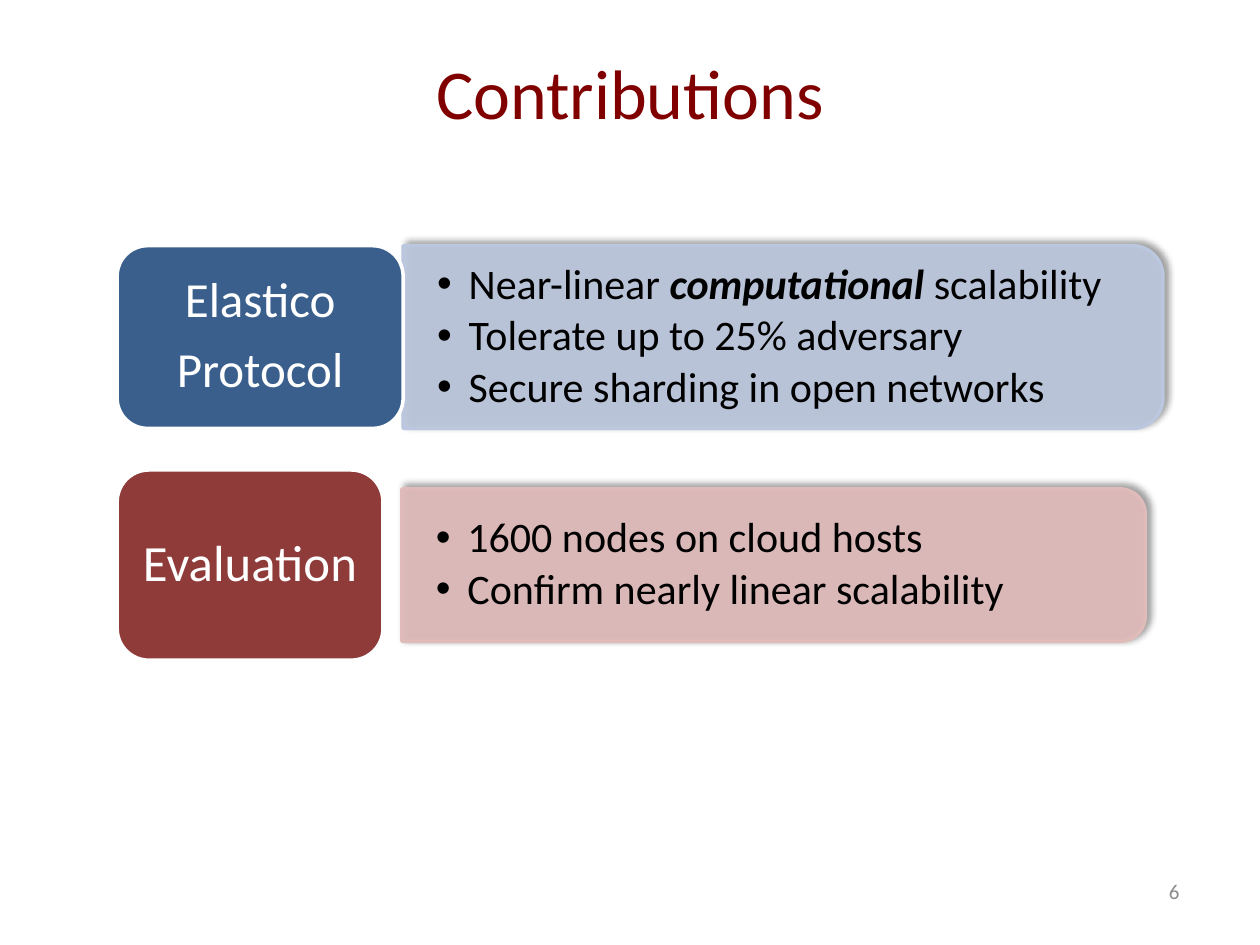
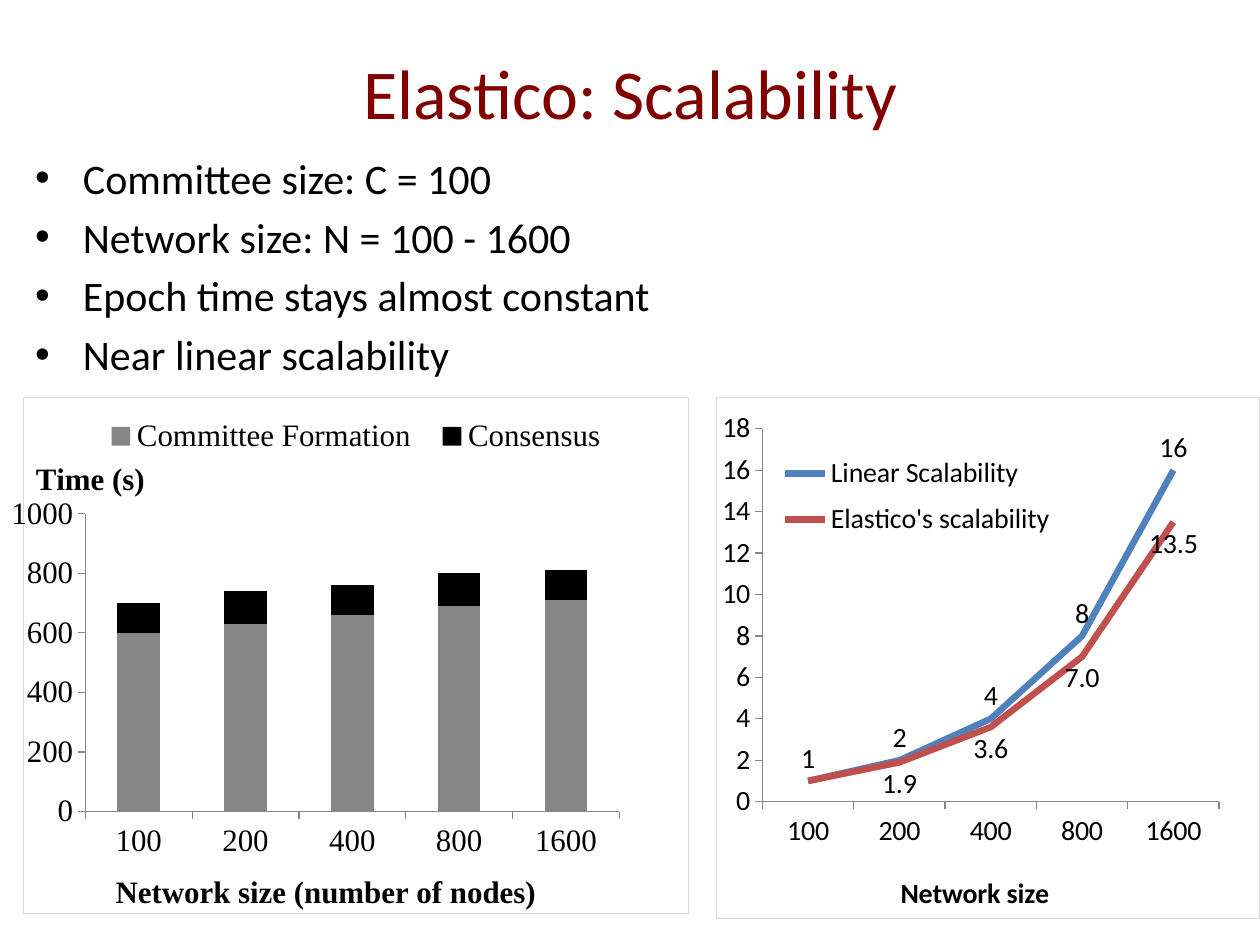
from lxml import etree
from pptx import Presentation
from pptx.chart.data import CategoryChartData
from pptx.dml.color import RGBColor
from pptx.enum import chart as ch, shapes, text
from pptx.oxml import parse_xml
from pptx.oxml.ns import qn, nsdecls
from pptx.util import Inches, Pt

WHITE = RGBColor(0xFF, 0xFF, 0xFF)
BLACK = RGBColor(0, 0, 0)
MAROON = RGBColor(0x80, 0, 0)
NAVY = RGBColor(0x3A, 0x5F, 0x8C)
SKY = RGBColor(0xBB, 0xC7, 0xDE)
BRICK = RGBColor(0x8E, 0x3B, 0x39)
ROSE = RGBColor(0xDF, 0xBB, 0xBA)
GREY = RGBColor(0x86, 0x86, 0x86)
PALE = RGBColor(0x8C, 0x8C, 0x8C)
BLUE = RGBColor(0x4F, 0x81, 0xBD)
RED = RGBColor(0xC0, 0x50, 0x4D)
SANS = "Calibri"
SERIF = "Times New Roman"
SIZES = ["100", "200", "400", "800", "1600"]


def style(part, size, color, name=SANS, bold=None):
    font = part.font
    font.size, font.name, font.bold = Pt(size), name, bold
    font.color.rgb = color


def write(frame, lines, size, color, align=None, inset=(0.1, 0.05),
          mid=True, wrap=True):
    frame.text = "\n".join(lines)
    frame.word_wrap = wrap
    frame.margin_left = frame.margin_right = Inches(inset[0])
    frame.margin_top = frame.margin_bottom = Inches(inset[1])
    anchor = text.MSO_ANCHOR
    frame.vertical_anchor = anchor.MIDDLE if mid else anchor.TOP
    for para in frame.paragraphs:
        para.alignment = align
        for run in para.runs:
            style(run, size, color)
    return frame


def label(slide, box, lines, *args, **opts):
    shape = slide.shapes.add_textbox(*map(Inches, box))
    return write(shape.text_frame, lines, *args, **opts)


def bullet(frame, indent):
    for para in frame.paragraphs:
        props = para._p.get_or_add_pPr()
        props.set("marL", str(Inches(indent)))
        props.set("indent", str(-Inches(indent)))
        etree.SubElement(props, qn("a:buFont")).set("typeface", "Arial")
        etree.SubElement(props, qn("a:buChar")).set("char", "•")


def space(frame, after):
    for para in frame.paragraphs:
        para.line_spacing = 0.9
        para.space_after = Pt(after)


def title(slide, words):
    label(slide, (0, 0.3, 10, 0.86), [words], 40, MAROON,
          text.PP_ALIGN.CENTER)


def number(slide, value):
    label(slide, (7.13, 6.87, 2.33, 0.4), [value], 12, PALE,
          text.PP_ALIGN.RIGHT)


def panel(slide, box, lines, color):
    left, top, wide, high = box
    shift = (wide - high) / 2
    shape = slide.shapes.add_shape(
        shapes.MSO_SHAPE.ROUND_2_SAME_RECTANGLE, Inches(left + shift),
        Inches(top - shift), Inches(high), Inches(wide))
    shape.rotation = 90
    shape.fill.solid()
    shape.fill.fore_color.rgb = shape.line.color.rgb = color
    shape.line.width = Pt(2)
    props = shape._element.spPr
    tint = props.find(qn("a:solidFill"))[0]
    etree.SubElement(tint, qn("a:alpha")).set("val", "90000")
    props.append(parse_xml(
        f'<a:effectLst {nsdecls("a")}><a:outerShdw blurRad="{Pt(4)}" '
        f'dist="{Pt(3)}" dir="18900000" rotWithShape="0">'
        '<a:srgbClr val="000000"><a:alpha val="40000"/></a:srgbClr>'
        '</a:outerShdw></a:effectLst>'))
    frame = label(slide, (left, top + 0.07, wide - 0.07, high - 0.14),
                  lines, 24, BLACK, inset=(0.27, 0.14))
    space(frame, 3.6)
    bullet(frame, 0.25)
    return frame


def tag(slide, box, lines, size, color):
    shape = slide.shapes.add_shape(
        shapes.MSO_SHAPE.ROUNDED_RECTANGLE, *map(Inches, box))
    shape.shadow.inherit = False
    shape.fill.solid()
    shape.fill.fore_color.rgb = color
    shape.line.color.rgb = WHITE
    shape.line.width = Pt(2)
    frame = write(shape.text_frame, lines, size, WHITE,
                  text.PP_ALIGN.CENTER, wrap=False)
    space(frame, size * 0.35)


def place(node, index, x, y, wide=None, high=None, inner=False):
    for old in node.findall(qn("c:layout")):
        node.remove(old)
    layout = etree.Element(qn("c:layout"))
    manual = etree.SubElement(layout, qn("c:manualLayout"))
    parts = [("layoutTarget", "inner")] if inner else []
    parts += [("xMode", "edge"), ("yMode", "edge"), ("x", x), ("y", y)]
    if wide:
        parts += [("w", wide), ("h", high)]
    for key, value in parts:
        etree.SubElement(manual, qn("c:" + key)).set("val", str(value))
    node.insert(index, layout)


def name(axis, words, size, face, spot):
    frame = axis.axis_title.text_frame
    frame.text = words
    style(frame.paragraphs[0].runs[0], size, BLACK, face, True)
    frame._txBody.bodyPr.set("rot", "0")
    place(axis.axis_title._element, 1, *spot)


def graph(slide, box, kind, rows, size, face, plot, key, top, step):
    data = CategoryChartData()
    data.categories = SIZES
    for row in rows:
        data.add_series(*row)
    chart = slide.shapes.add_chart(kind, *map(Inches, box), data).chart
    style(chart, size, BLACK, face)
    chart.has_title = False
    chart.has_legend = True
    chart.legend.include_in_layout = False
    place(chart.legend._element, 1, *key)
    root = chart._chartSpace
    place(root.chart.plotArea, 0, *plot, inner=True)
    root.find(qn("c:txPr")).addprevious(parse_xml(
        f'<c:spPr {nsdecls("c", "a")}><a:noFill/><a:ln w="{Pt(0.75)}">'
        '<a:solidFill><a:srgbClr val="D9D9D9"/></a:solidFill></a:ln>'
        '</c:spPr>'))
    chart.plots[0].vary_by_categories = False
    values = chart.value_axis
    values.has_major_gridlines = False
    values.minimum_scale, values.maximum_scale = 0, top
    values.major_unit = step
    for axis in (chart.category_axis, values):
        axis.major_tick_mark = ch.XL_TICK_MARK.OUTSIDE
        axis.format.line.color.rgb = GREY
    return chart


def bars(slide, box):
    rows = [("Committee Formation", (600, 630, 660, 690, 710)),
            ("Consensus", (100, 110, 100, 110, 100))]
    chart = graph(slide, box, ch.XL_CHART_TYPE.COLUMN_STACKED, rows, 18,
                  SERIF, (0.093, 0.225, 0.803, 0.577),
                  (0.1, 0.03, 0.8, 0.09), 1000, 200)
    chart.legend.position = ch.XL_LEGEND_POSITION.TOP
    plot = chart.plots[0]
    plot.gap_width, plot.overlap = 150, 100
    for ser, color in zip(plot.series, (GREY, BLACK)):
        ser.format.fill.solid()
        ser.format.fill.fore_color.rgb = color
    name(chart.category_axis, "Network size (number of nodes)", 18, SERIF,
         (0.13, 0.91))
    name(chart.value_axis, "Time (s)", 18, SERIF, (0.01, 0.11))


def curves(slide, box):
    rows = [("Linear Scalability", (1, 2, 4, 8, 16)),
            ("Elastico's scalability", (1, 1.9, 3.6, 7.0, 13.5))]
    chart = graph(slide, box, ch.XL_CHART_TYPE.LINE, rows, 16, SANS,
                  (0.085, 0.06, 0.841, 0.716), (0.11, 0.09, 0.52, 0.2),
                  18, 2)
    spot = ch.XL_LABEL_POSITION
    looks = [(BLUE, spot.ABOVE, "0"), (RED, spot.BELOW, "0.0")]
    for ser, (color, side, form) in zip(chart.plots[0].series, looks):
        ser.smooth = False
        ser.marker.style = ch.XL_MARKER_STYLE.NONE
        ser.format.line.color.rgb = color
        ser.format.line.width = Pt(3.75)
        marks = ser.data_labels
        marks.show_value = True
        marks.position = side
        marks.number_format = form
        marks.number_format_is_linked = False
        style(marks, 16, BLACK)
    marks._element.insert(0, parse_xml(
        f'<c:dLbl {nsdecls("c")}><c:idx val="0"/><c:delete val="1"/>'
        '</c:dLbl>'))
    name(chart.category_axis, "Network size", 16, SANS, (0.33, 0.905))


def gains(slide):
    title(slide, "Contributions")
    frame = panel(slide, (3.2, 1.95, 6.03, 1.45),
                  ["Near-linear ", "Tolerate up to 25% adversary",
                   "Secure sharding in open networks"], SKY)
    para = frame.paragraphs[0]
    for words, strong in (("computational", True), (" scalability", False)):
        run = para.add_run()
        run.text = words
        style(run, 24, BLACK, bold=strong)
        run.font.italic = strong
    tag(slide, (0.93, 1.95, 2.27, 1.45), ["Elastico", "Protocol"], 28, NAVY)
    panel(slide, (3.19, 3.88, 5.9, 1.21),
          ["1600 nodes on cloud hosts", "Confirm nearly linear scalability"],
          ROSE)
    tag(slide, (0.93, 3.73, 2.11, 1.51), ["Evaluation"], 29, BRICK)
    number(slide, "6")


def scale(slide):
    title(slide, "Elastico: Scalability")
    frame = label(slide, (0.18, 1.16, 9.63, 5.54),
                  ["Committee size: C = 100", "Network size: N = 100 - 1600",
                   "Epoch time stays almost constant",
                   "Near linear scalability"], 24, BLACK, mid=False)
    for para in frame.paragraphs:
        para.space_before = Pt(4.8)
    bullet(frame, 0.38)
    bars(slide, (0.09, 3.15, 5.38, 4.15))
    curves(slide, (5.68, 3.15, 4.32, 4.15))


def main():
    deck = Presentation()
    deck.slide_width, deck.slide_height = Inches(10), Inches(7.5)
    for build in (gains, scale):
        build(deck.slides.add_slide(deck.slide_layouts[6]))
    deck.save("out.pptx")


if __name__ == "__main__":
    main()
